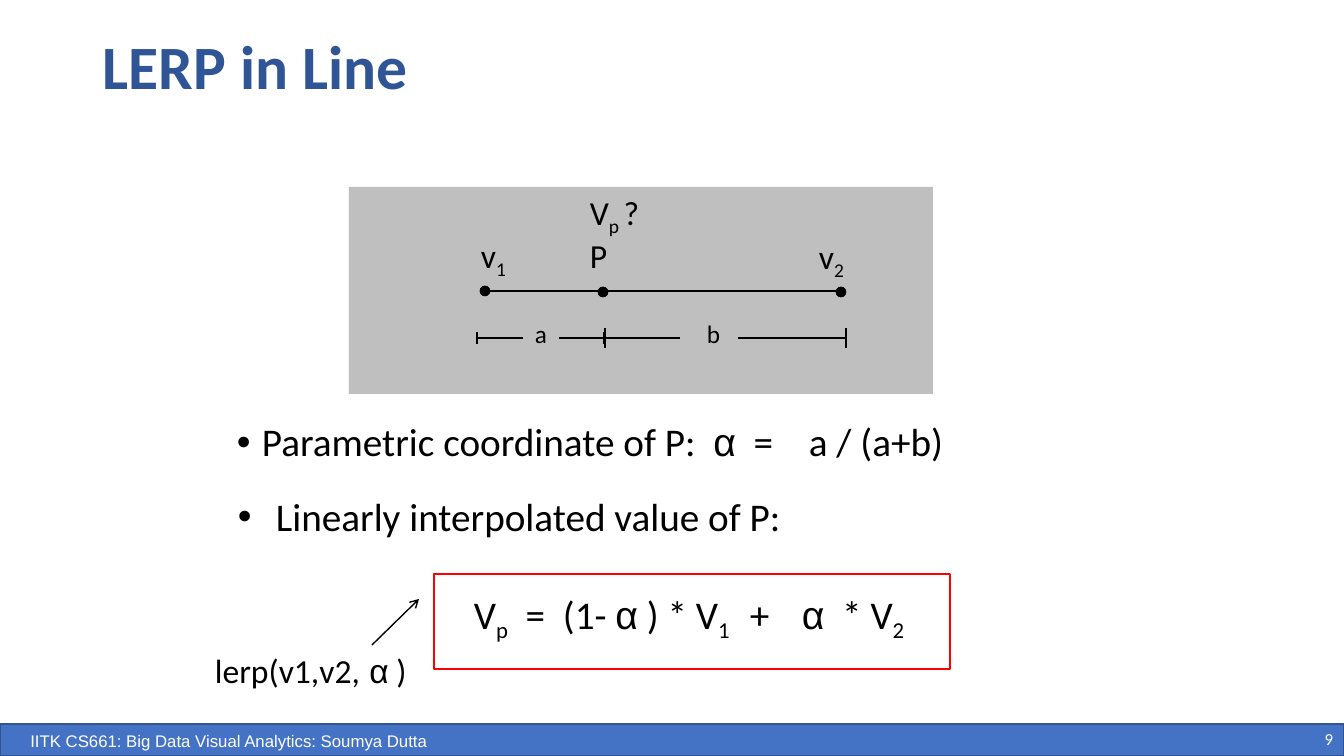
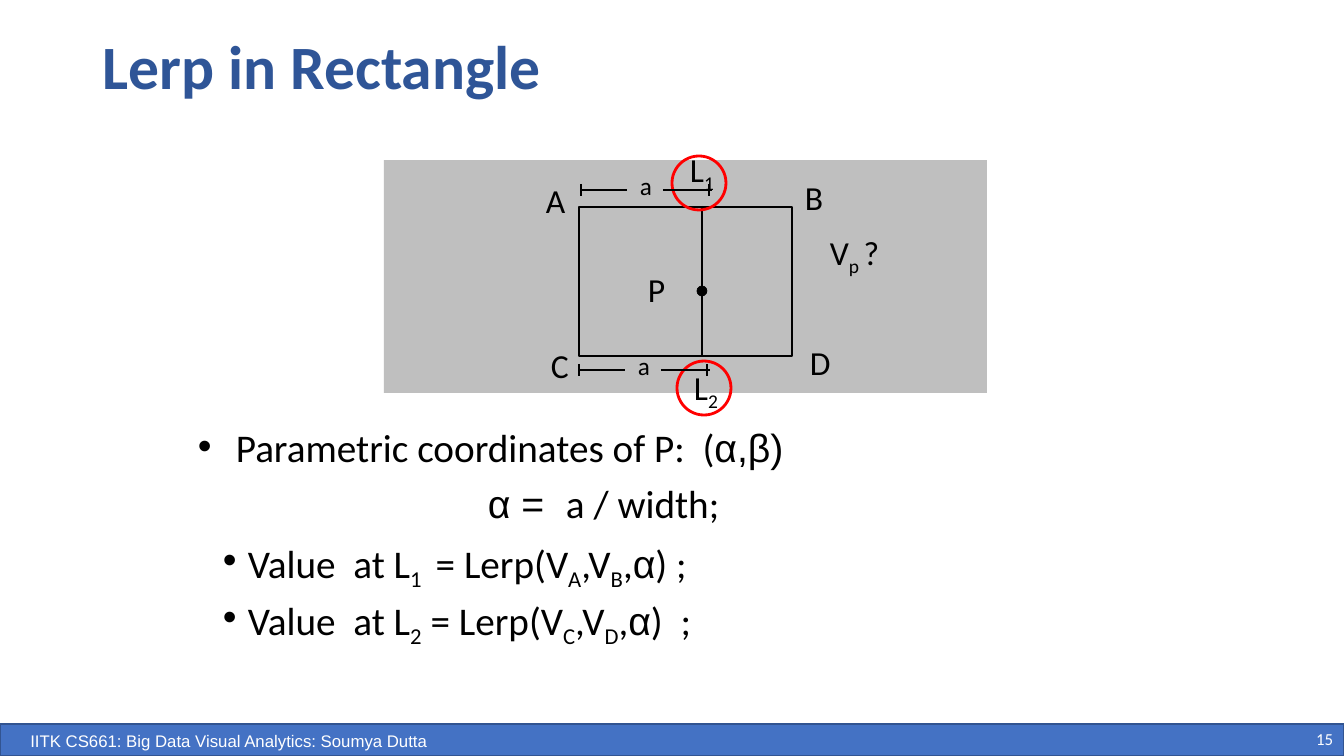
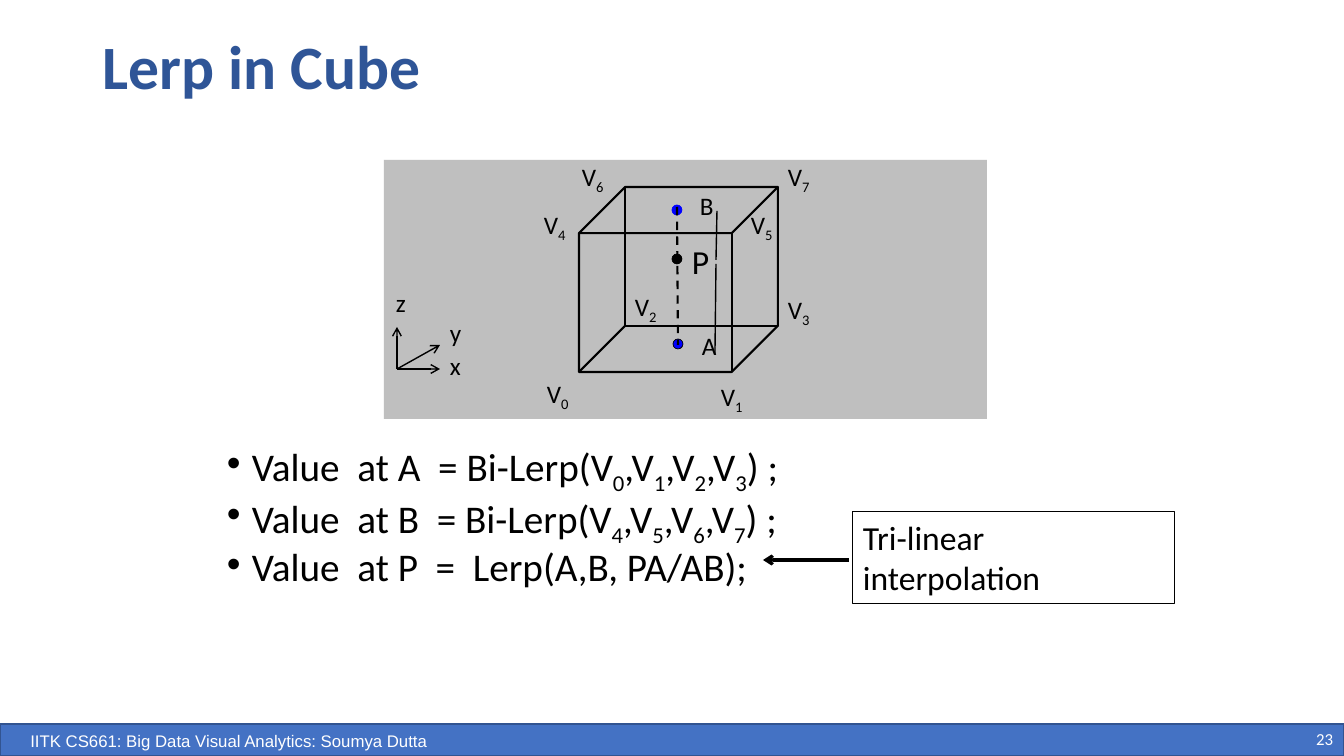
from collections import namedtuple
from dataclasses import dataclass

from lxml import etree
from pptx import Presentation
from pptx.dml.color import RGBColor
from pptx.enum.dml import MSO_LINE
from pptx.enum.shapes import MSO_CONNECTOR, MSO_SHAPE
from pptx.enum.text import MSO_ANCHOR, PP_ALIGN
from pptx.oxml.ns import qn
from pptx.util import Emu, Pt

RECT, OVAL, CUBE = MSO_SHAPE.RECTANGLE, MSO_SHAPE.OVAL, MSO_SHAPE.CUBE
STRAIGHT, DASH = MSO_CONNECTOR.STRAIGHT, MSO_LINE.DASH
LEFT, CENTER, RIGHT = PP_ALIGN.LEFT, PP_ALIGN.CENTER, PP_ALIGN.RIGHT
TOP, MIDDLE = MSO_ANCHOR.TOP, MSO_ANCHOR.MIDDLE

PX_PER_INCH = 100.8
WIDTH, HEIGHT = 1344, 756


@dataclass(frozen=True)
class Theme:
    font: str = "Calibri"
    greek_font: str = "Arial"
    title: str = "2F5597"
    band: str = "4472C4"
    band_edge: str = "325491"
    panel: str = "BFBFBF"
    ink: str = "000000"
    paper: str = "FFFFFF"
    accent: str = "FF0000"
    marker: str = "0000FF"
    title_size: int = 44
    body_size: int = 28
    label_size: int = 24
    small_size: int = 18
    footer_size: int = 12


THEME = Theme()
Run = namedtuple("Run", "text font subscript")


def px(length):
    return Emu(round(length * 914400 / PX_PER_INCH))


def rgb(color):
    return RGBColor.from_string(color)


def sub(text):
    return Run(text, THEME.font, True)


def arial(text):
    return Run(text, THEME.greek_font, False)


def write(paragraph, pieces, size, color=THEME.ink, bold=False):
    """Add plain strings and Run tuples to a paragraph, run by run."""
    for piece in pieces:
        spec_run = piece if isinstance(piece, Run) else Run(piece, THEME.font, False)
        run = paragraph.add_run()
        run.text = spec_run.text
        font = run.font
        font.name, font.size, font.bold = spec_run.font, Pt(size), bold
        font.color.rgb = rgb(color)
        if spec_run.subscript:
            run._r.get_or_add_rPr().set("baseline", "-25000")


def text_box(slide, x, y, w, h, wrap=True, anchor=TOP):
    frame = slide.shapes.add_textbox(px(x), px(y), px(w), px(h)).text_frame
    frame.word_wrap = wrap
    frame.vertical_anchor = anchor
    return frame


def label(slide, x, y, w, pieces, size=THEME.label_size, wrap=False, tabs=()):
    frame = text_box(slide, x, y, w, int(size * 1.7) + 10, wrap)
    paragraph = frame.paragraphs[0]
    if tabs:
        add_tabs(paragraph, tabs)
    write(paragraph, pieces, size)


def add_tabs(paragraph, positions):
    tab_list = etree.SubElement(paragraph._p.get_or_add_pPr(), qn("a:tabLst"))
    for position in positions:
        etree.SubElement(tab_list, qn("a:tab"), pos=str(px(position)), algn="l")


def bullets(slide, x, y, w, h, items, hang=25, spacing=1.0, tabs=()):
    frame = text_box(slide, x, y, w, h)
    for index, pieces in enumerate(items):
        paragraph = frame.add_paragraph() if index else frame.paragraphs[0]
        props = paragraph._p.get_or_add_pPr()
        props.set("marL", str(px(hang)))
        props.set("indent", str(px(-hang)))
        etree.SubElement(props, qn("a:buFont"), typeface="Arial")
        etree.SubElement(props, qn("a:buChar"), char="•")
        if tabs:
            add_tabs(paragraph, tabs)
        paragraph.line_spacing = spacing
        if index:
            paragraph.space_before = Pt(10)
        write(paragraph, pieces, THEME.body_size)


def shape(slide, kind, x, y, w, h, fill=None, line=None, weight=1):
    item = slide.shapes.add_shape(kind, px(x), px(y), px(w), px(h))
    item.shadow.inherit = False
    if fill:
        item.fill.solid()
        item.fill.fore_color.rgb = rgb(fill)
    else:
        item.fill.background()
    if line:
        item.line.color.rgb = rgb(line)
        item.line.width = Pt(weight)
    else:
        item.line.fill.background()
    return item


def dot(slide, x, y, fill=THEME.ink, line=THEME.ink):
    """Draw a small disc centred on a point."""
    shape(slide, OVAL, x - 5, y - 5, 10, 10, fill, line, 0.5)


def line(slide, start, end, weight=1, dash=None, arrow=False):
    link = slide.shapes.add_connector(
        STRAIGHT, px(start[0]), px(start[1]), px(end[0]), px(end[1]))
    link.line.color.rgb = rgb(THEME.ink)
    link.line.width = Pt(weight)
    if dash:
        link.line.dash_style = dash
    if arrow:
        etree.SubElement(link.line._get_or_add_ln(), qn("a:tailEnd"), type="arrow")
    etree.SubElement(link._element.spPr, qn("a:effectLst"))


def dimension(slide, y, start, gap, end, name, name_x, tick=6, overshoot=3):
    """Draw a measure from start to end, broken over the gap by its name."""
    line(slide, (start, y), (gap[0], y))
    line(slide, (gap[1], y), (end + overshoot, y))
    for x in (start, end):
        line(slide, (x, y - tick), (x, y + tick))
    label(slide, name_x, y - 25, 32, [name], THEME.small_size)


def add_slide(prs, title, number):
    """Add a slide with the shared title, footer band and page number."""
    slide = prs.slides.add_slide(prs.slide_layouts[6])
    shape(slide, RECT, 0, 724, WIDTH, 32, THEME.band, THEME.band_edge)

    page = text_box(slide, 1252, 723, 91, 32, anchor=MIDDLE).paragraphs[0]
    page.alignment = RIGHT
    write(page, [str(number)], THEME.footer_size, THEME.paper)

    course = text_box(slide, 0, 726, 458, 30).paragraphs[0]
    course.alignment = CENTER
    write(course, [arial("IITK CS661: Big Data Visual Analytics: Soumya Dutta")],
          THEME.footer_size, THEME.paper)

    heading = text_box(slide, 93, 24, 1159, 92, anchor=MIDDLE).paragraphs[0]
    heading.line_spacing = 0.9
    write(heading, [title], THEME.title_size, THEME.title, bold=True)
    return slide


def line_slide(prs):
    slide = add_slide(prs, "LERP in Line", 9)
    shape(slide, RECT, 349, 187, 584, 207, THEME.panel)

    dimension(slide, 338, 477, (523, 559), 604, "a", 525)
    dimension(slide, 338, 605, (680, 738), 846, "b", 697, tick=10, overshoot=0)
    line(slide, (490, 291), (845, 291))
    for x, y in ((485, 291), (603, 292), (841, 292)):
        dot(slide, x, y)
    label(slide, 471, 230, 47, ["v", sub("1")])
    label(slide, 809, 231, 47, ["v", sub("2")])
    label(slide, 580, 230, 38, ["P"])
    label(slide, 580, 187, 73, ["V", sub("p "), "?"])

    bullets(slide, 227, 418, 907, 60,
            [["Parametric coordinate of P:  ", arial("α"), "  =\ta / (a+b)"]],
            spacing=0.9, tabs=[572])
    bullets(slide, 228, 487, 907, 60, [["Linearly interpolated value of P:"]], hang=38)

    label(slide, 205, 645, 215, ["lerp(v1,v2,", arial(" α"), " )"])
    line(slide, (372, 645), (419, 599), arrow=True)
    label(slide, 464, 585, 496,
          ["V", sub("p"), "  =  (1- ", arial("α"), " ) * V", sub("1"), "\t+\t",
           arial("α"), "  * V", sub("2")],
          THEME.body_size, wrap=True, tabs=[276, 328])
    shape(slide, RECT, 434, 574, 516, 95, line=THEME.accent, weight=1.75)


def rectangle_slide(prs):
    slide = add_slide(prs, "Lerp in Rectangle", 15)
    shape(slide, RECT, 384, 160, 603, 233, THEME.panel)
    shape(slide, RECT, 579, 207, 213, 149, line=THEME.ink, weight=1.75)

    for x, y, w, corner in ((536, 175, 40, "A"), (795, 172, 39, "B"),
                            (541, 340, 38, "C"), (800, 337, 41, "D")):
        label(slide, x, y, w, [corner])
    label(slide, 820, 227, 73, ["V", sub("p "), "?"])
    label(slide, 638, 264, 38, ["P"])
    dot(slide, 702, 291)
    line(slide, (702, 206), (702, 356))

    for x, y, index in ((680, 144, "1"), (684, 362, "2")):
        label(slide, x, y, 72, ["L", sub(index)], wrap=True)
    for x, y in ((672, 156), (677, 361)):
        shape(slide, OVAL, x, y, 54, 54, line=THEME.accent, weight=2)
    dimension(slide, 370, 579, (625, 661), 707, "a", 628)
    dimension(slide, 190, 581, (627, 663), 709, "a", 630)

    bullets(slide, 188, 418, 946, 60,
            [["Parametric coordinates of P:  (", arial("α,β)")]], hang=38)
    label(slide, 478, 474, 300, [arial("α =  "), "a / width;"],
          THEME.body_size, wrap=True)
    bullets(slide, 213, 539, 946, 160, [
        ["Value  at L", sub("1 "), " = Lerp(V", sub("A"), ",V", sub("B"), ",",
         arial("α"), ") ;"],
        ["Value  at L", sub("2"), " = Lerp(V", sub("C"), ",V", sub("D"), ",",
         arial("α"), ")  ;"],
    ], spacing=0.8)


def bilerp(name, corners):
    """Return the pieces of a formula over four numbered cube corners."""
    pieces = [name + " = Bi-Lerp(V", sub(corners[0])]
    for corner in corners[1:]:
        pieces += [",V", sub(corner)]
    return pieces + [") ;"]


def cube_slide(prs):
    slide = add_slide(prs, "Lerp in Cube", 23)
    shape(slide, RECT, 384, 160, 603, 259, THEME.panel)

    shape(slide, CUBE, 579, 187, 199, 185, line=THEME.ink, weight=1.5)
    hidden_corner = (625, 326)
    for corner in ((625, 187), (579, 372), (778, 326)):
        line(slide, corner, hidden_corner, 1.5)

    axis_origin = (397, 369)
    for tip in ((440, 369), (440, 345), (397, 327)):
        line(slide, axis_origin, tip, arrow=True)
    for x, y, axis in ((440, 345, "x"), (440, 312, "y"), (386, 282, "z")):
        label(slide, x, y, 31, [axis], THEME.small_size)

    corner_spots = ((537, 373), (711, 376), (625, 286), (778, 289),
                    (534, 204), (741, 204), (572, 156), (778, 156))
    for index, (x, y) in enumerate(corner_spots):
        label(slide, x, y, 43, ["V", sub(str(index))], THEME.small_size)

    dot(slide, 677, 259)
    dot(slide, 677, 210, THEME.marker, THEME.marker)
    dot(slide, 678, 344, THEME.marker)
    line(slide, (677, 207), (678, 345), 1.5, DASH)
    label(slide, 690, 185, 33, ["B"], THEME.small_size)
    label(slide, 692, 325, 35, ["A"], THEME.small_size)
    label(slide, 682, 236, 38, ["P"])
    line(slide, (717, 211), (716, 260))
    line(slide, (716, 264), (715, 354))

    bullets(slide, 217, 447, 645, 145, [
        bilerp("Value  at A ", "0123"),
        bilerp("Value  at B ", "4567"),
        ["Value  at P  =  Lerp(A,B, PA/AB);"],
    ], spacing=0.7)

    callout = shape(slide, RECT, 853, 512, 322, 92, line=THEME.ink, weight=0.75)
    frame = callout.text_frame
    frame.word_wrap = True
    frame.vertical_anchor = TOP
    frame.paragraphs[0].alignment = LEFT
    write(frame.paragraphs[0], ["Tri-linear interpolation"], THEME.label_size)
    line(slide, (849, 560), (763, 560), 2.25, arrow=True)


def main():
    prs = Presentation()
    prs.slide_width, prs.slide_height = px(WIDTH), px(HEIGHT)
    line_slide(prs)
    rectangle_slide(prs)
    cube_slide(prs)
    prs.save("out.pptx")


if __name__ == "__main__":
    main()
